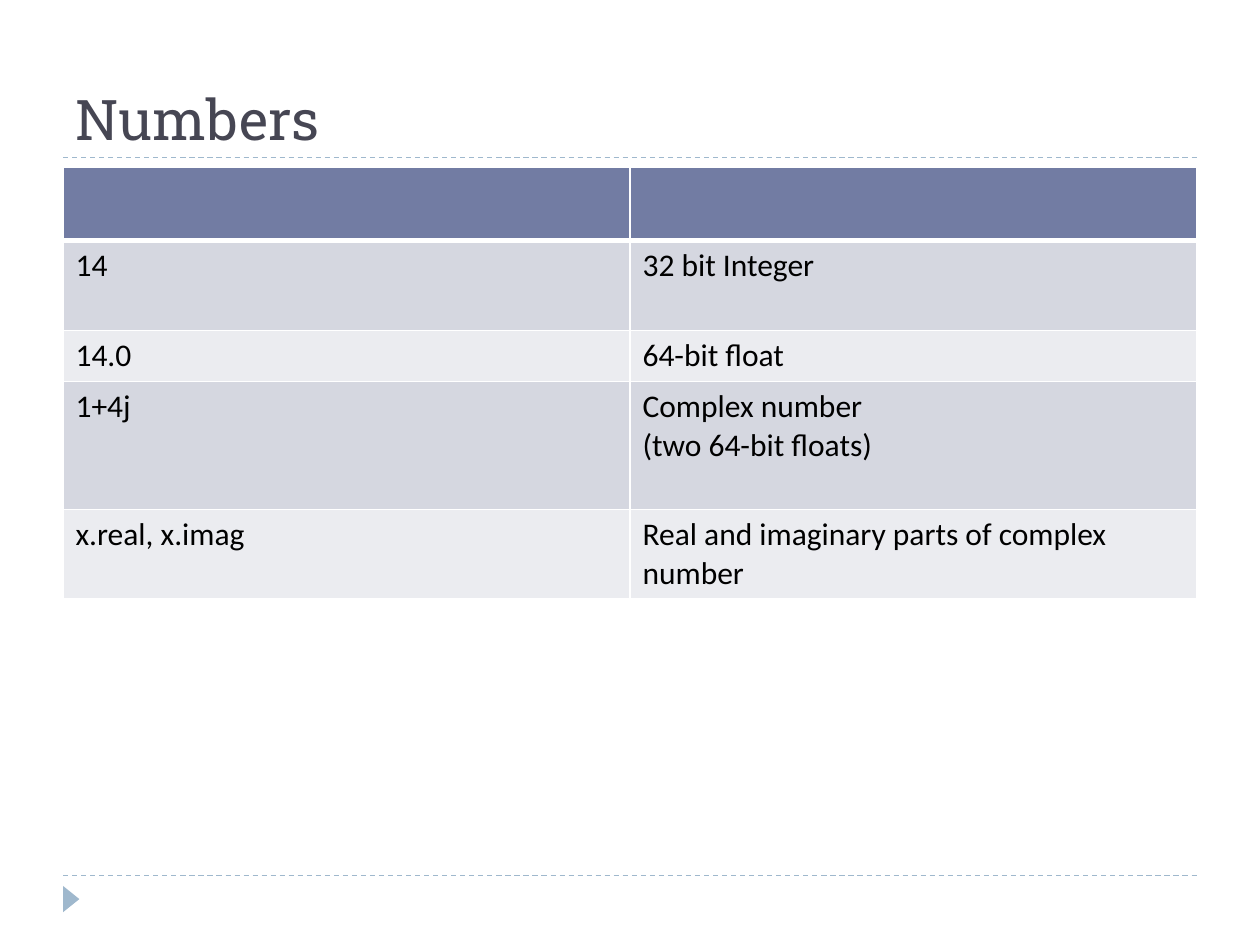
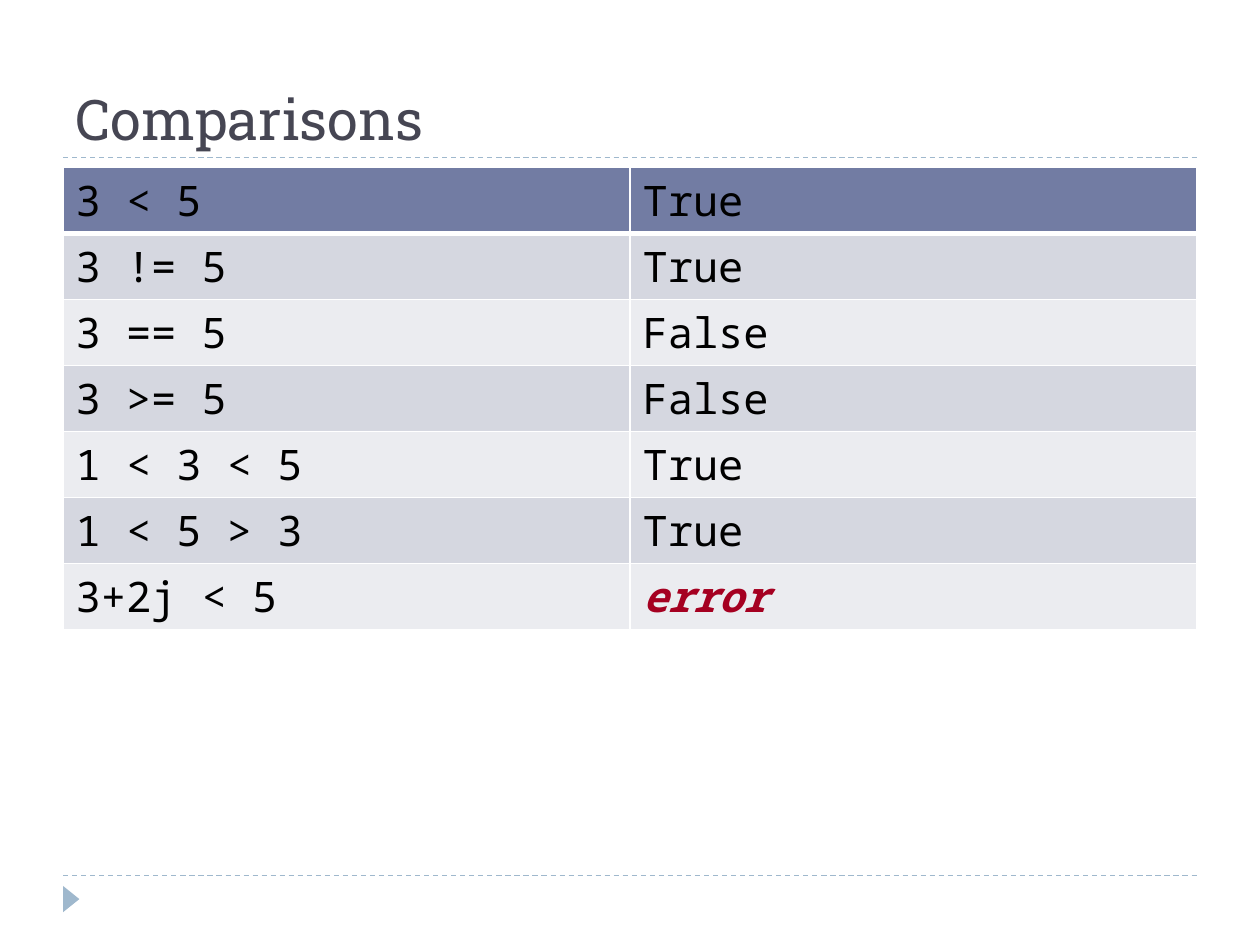
from dataclasses import dataclass

from lxml.etree import SubElement
from pptx import Presentation
from pptx.dml.color import RGBColor
from pptx.enum.dml import MSO_LINE
from pptx.enum.shapes import MSO_CONNECTOR, MSO_SHAPE
from pptx.enum.text import MSO_ANCHOR
from pptx.oxml import parse_xml
from pptx.oxml.ns import nsdecls, qn
from pptx.util import Cm, Pt

INK = RGBColor(0x46, 0x46, 0x53)
BLACK = RGBColor(0x00, 0x00, 0x00)
WHITE = RGBColor(0xFF, 0xFF, 0xFF)
ACCENT = RGBColor(0x9F, 0xB8, 0xCD)
HEADER = RGBColor(0x72, 0x7C, 0xA3)
BAND_DARK = RGBColor(0xD5, 0xD7, 0xE0)
BAND_LIGHT = RGBColor(0xEB, 0xEC, 0xF0)
ERROR_RED = RGBColor(0xA5, 0x00, 0x21)

TITLE_FONT = "Roboto Slab"
LEFT, WIDTH = Cm(1.27), Cm(22.86)
TITLE_RULE_Y, FOOTER_RULE_Y = Cm(3.18), Cm(17.65)
TABLE_TOP = Cm(3.38)


@dataclass(frozen=True)
class TextStyle:
    font: str
    size: int
    color: RGBColor = BLACK
    emphasis: bool = False
    line_spacing: float = 1.0
    space_after: float = 0


@dataclass(frozen=True)
class TableSlide:
    title: str
    style: TextStyle
    rows: list[tuple[str, str]]
    heights: list[float]  # centimetres


TITLE = TextStyle(TITLE_FONT, 32, INK)
BODY = TextStyle("Calibri", 18)
CODE = TextStyle("Noto Sans Mono", 24, line_spacing=0.93, space_after=14.2)
ERROR = TextStyle("Noto Sans Mono", 24, ERROR_RED, True, 0.93, 14.2)

COMPARISONS = [
    ("3 < 5", "True"),
    ("3 != 5", "True"),
    ("3 == 5", "False"),
    ("3 >= 5", "False"),
    ("1 < 3 < 5", "True"),
    ("1 < 5 > 3", "True"),
    ("3+2j < 5", "error"),
]

SLIDES = [
    TableSlide(
        "Numbers",
        BODY,
        [
            ("", ""),
            ("14", "32 bit Integer"),
            ("14.0", "64-bit float"),
            ("1+4j", "Complex number\n(two 64-bit floats)"),
            ("x.real, x.imag", "Real and imaginary parts of complex number"),
        ],
        [1.47, 1.81, 1.03, 2.58, 1.79],
    ),
    TableSlide("Comparisons", CODE, COMPARISONS, [1.33] * len(COMPARISONS)),
]


def write(tf, text: str, style: TextStyle) -> None:
    """Fill a text frame, one paragraph per line of text."""
    for i, line in enumerate(text.split("\n")):
        p = tf.add_paragraph() if i else tf.paragraphs[0]
        p.line_spacing = style.line_spacing
        p.space_after = Pt(style.space_after)
        r = p.add_run()
        r.text = line
        r.font.name = style.font
        r.font.size = Pt(style.size)
        r.font.color.rgb = style.color
        r.font.bold = r.font.italic = style.emphasis


def add_rule(slide, y: int) -> None:
    line = slide.shapes.add_connector(MSO_CONNECTOR.STRAIGHT, LEFT, y, LEFT + WIDTH, y)
    line.line.color.rgb = ACCENT
    line.line.width = Pt(0.75)
    line.line.dash_style = MSO_LINE.DASH
    SubElement(line._element.spPr, qn("a:effectLst"))


def add_frame(slide, title: str) -> None:
    """Draw the rules, the footer marker and the title."""
    add_rule(slide, FOOTER_RULE_Y)
    add_rule(slide, TITLE_RULE_Y)
    sp = slide.shapes.add_shape(
        MSO_SHAPE.ISOSCELES_TRIANGLE, Cm(1.17), Cm(17.96), Cm(0.53), Cm(0.33)
    )
    sp.rotation = 90
    sp.shadow.inherit = False
    sp.fill.solid()
    sp.fill.fore_color.rgb = ACCENT
    sp.line.fill.background()

    top = Cm(0.43)
    tf = slide.shapes.add_textbox(LEFT, top, WIDTH, TITLE_RULE_Y - top).text_frame
    tf.word_wrap = True
    tf.vertical_anchor = MSO_ANCHOR.BOTTOM
    write(tf, title, TITLE)


def set_borders(cell, top: float, bottom: float) -> None:
    """Give a cell white borders; top and bottom widths are in points."""
    tc_pr = cell._tc.get_or_add_tcPr()
    widths = {"lnL": 1, "lnR": 1, "lnT": top, "lnB": bottom}
    for i, (tag, width) in enumerate(widths.items()):
        border = parse_xml(
            f'<a:{tag} {nsdecls("a")} w="{Pt(width)}"><a:solidFill>'
            f'<a:srgbClr val="{WHITE}"/></a:solidFill></a:{tag}>'
        )
        tc_pr.insert(i, border)


def add_table(slide, content: TableSlide) -> None:
    heights = [Cm(h) for h in content.heights]
    table = slide.shapes.add_table(
        len(heights), 2, LEFT, TABLE_TOP, WIDTH, sum(heights)
    ).table
    table.first_row = table.horz_banding = False
    for i, (texts, height) in enumerate(zip(content.rows, heights)):
        table.rows[i].height = height
        fill = HEADER if i == 0 else BAND_DARK if i % 2 else BAND_LIGHT
        for cell, text in zip(table.rows[i].cells, texts):
            cell.fill.solid()
            cell.fill.fore_color.rgb = fill
            set_borders(cell, top=3 if i == 1 else 1, bottom=3 if i == 0 else 1)
            if text:
                write(cell.text_frame, text, ERROR if text == "error" else content.style)


def main() -> None:
    prs = Presentation()
    prs.slide_width, prs.slide_height = Cm(25.4), Cm(19.05)
    for content in SLIDES:
        slide = prs.slides.add_slide(prs.slide_layouts[6])
        add_frame(slide, content.title)
        add_table(slide, content)
    prs.save("out.pptx")


if __name__ == "__main__":
    main()
